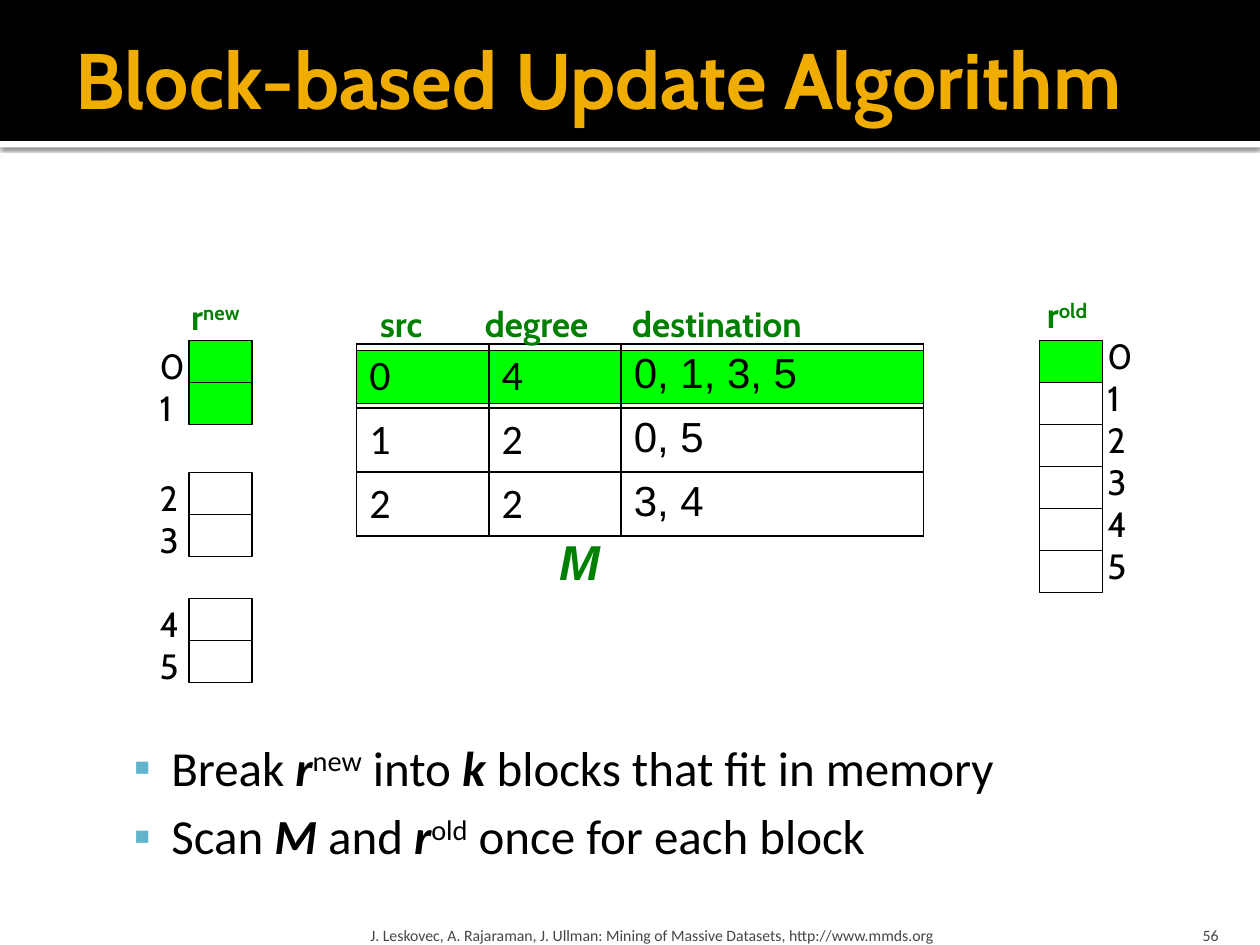
from lxml.etree import SubElement
from pptx import Presentation
from pptx.dml.color import RGBColor as RGB
from pptx.enum.shapes import MSO_SHAPE as SHAPE
from pptx.enum.text import MSO_ANCHOR as ANCHOR, MSO_AUTO_SIZE as AUTO, PP_ALIGN as ALIGN
from pptx.oxml import parse_xml
from pptx.oxml.ns import nsdecls, qn
from pptx.util import Pt

COLORS = {"black": "000000", "white": "FFFFFF", "gold": "F0AD00", "bullet": "60B5CC",
          "highlight": "00FF00", "green": "008000", "grey": "454545"}


def add_rect(x, y, w, h, fill=None, line=None):
    sp = s.shapes.add_shape(SHAPE.RECTANGLE, Pt(x), Pt(y), Pt(w), Pt(h))
    sp.shadow.inherit = False
    if fill:
        sp.fill.solid()
        sp.fill.fore_color.rgb = RGB.from_string(COLORS[fill])
    else:
        sp.fill.background()
    if line:
        sp.line.color.rgb = RGB.from_string(COLORS[line])
        sp.line.width = Pt(0.75)
    else:
        sp.line.fill.background()
    return sp


def write(p, parts, size, font, color, bold=False):
    """Fill p with (text, style) parts; style is "", "bi" (bold italic) or "sup"."""
    for text, style in parts:
        r = p.add_run()
        r.text = text
        r.font.size = Pt(size)
        r.font.name = font
        r.font.color.rgb = RGB.from_string(COLORS[color])
        r.font.bold = bold or style == "bi"
        r.font.italic = style == "bi"
        if style == "sup":
            r.font._element.set("baseline", "30000")


prs = Presentation()
prs.slide_width, prs.slide_height = Pt(720), Pt(540)
s = prs.slides.add_slide(prs.slide_layouts[1])
title, body = s.shapes.title, s.placeholders[1]

# Title band with a shadowed white strip under it
strip = add_rect(0, 80.6, 720, 3.6, "white")
shadow = SubElement(strip._element.spPr.find(qn("a:effectLst")), qn("a:outerShdw"),
                    blurRad=str(Pt(2.5)), dist=str(Pt(0.8)), dir="5400000",
                    algn="t", rotWithShape="0")
shadow_color = SubElement(shadow, qn("a:srgbClr"), val=COLORS["black"])
SubElement(shadow_color, qn("a:alpha"), val="60000")
band = add_rect(0, 0, 720, 80.6, "black")
for sp in (strip, band):
    title._element.addprevious(sp._element)

title.left, title.top, title.width, title.height = Pt(36), Pt(5.8), Pt(648), Pt(77.8)
tf = title.text_frame
tf.auto_size = AUTO.NONE
tf.vertical_anchor = ANCHOR.MIDDLE
tf.margin_left, tf.margin_right = Pt(7.2), Pt(3.6)
tf.paragraphs[0].alignment = ALIGN.LEFT
write(tf.paragraphs[0], [("Block-based Update Algorithm", "")], 45, "Cabin", "gold", True)

# Bullets
body.left, body.top, body.width, body.height = Pt(36), Pt(414), Pt(648), Pt(102.2)
tf = body.text_frame
tf.auto_size = AUTO.NONE
tf.vertical_anchor = ANCHOR.TOP
tf.margin_left, tf.margin_top = Pt(4.3), Pt(7.2)
bullets = [
    [("Break ", ""), ("r", "bi"), ("new", "sup"), (" into ", ""), ("k", "bi"),
     (" blocks that fit in memory", "")],
    [("Scan ", ""), ("M", "bi"), (" and ", ""), ("r", "bi"), ("old", "sup"),
     (" once for each block", "")],
]
for i, parts in enumerate(bullets):
    p = tf.add_paragraph() if i else tf.paragraphs[0]
    p.level = 1
    p.space_before = Pt(5.6 if i else 0)
    pPr = p._p.get_or_add_pPr()
    pPr.set("marL", str(Pt(57.6)))
    pPr.set("indent", str(Pt(-21.6)))
    bullet_color = SubElement(pPr, qn("a:buClr"))
    SubElement(bullet_color, qn("a:srgbClr"), val=COLORS["bullet"])
    SubElement(pPr, qn("a:buFont"), typeface="Arial")
    SubElement(pPr, qn("a:buChar"), char="▪")
    write(p, parts, 28, "Calibri", "black")

# Footer and slide number
footer = "J. Leskovec, A. Rajaraman, J. Ullman: Mining of Massive Datasets, http://www.mmds.org"
for x, w, margin, align, text in [(208.1, 433.4, 3.6, ALIGN.LEFT, footer),
                                  (645.8, 57.6, 7.2, ALIGN.RIGHT, "56")]:
    tf = s.shapes.add_textbox(Pt(x), Pt(518.4), Pt(w), Pt(21.6)).text_frame
    tf.word_wrap = True
    tf.vertical_anchor = ANCHOR.BOTTOM
    tf.margin_left = tf.margin_right = Pt(margin)
    tf.margin_bottom = 0
    tf.paragraphs[0].alignment = align
    write(tf.paragraphs[0], [(text, "")], 9, "Calibri", "grey")

# Vector cells; the labels are collected as (x, y, w, h, parts, size, font, color, bold)
CELL_W, CELL_H, TOP = 36, 24, 194.4
add_rect(203.8, 200.2, 324, 30.2, "highlight", "black")
labels = []
for i in range(6):
    y_new = (TOP, 270, 342)[i // 2] + i % 2 * CELL_H
    y_old = TOP + i * CELL_H
    add_rect(108, y_new, CELL_W, CELL_H, "highlight" if i < 2 else None, "black")
    add_rect(594, y_old, CELL_W, CELL_H, "highlight" if i == 0 else None, "black")
    for x, y in ((84.2, y_new - 1), (625.7, y_old - 6.6)):
        labels.append((x, y, 25.9, 31, [(str(i), "")], 20, "Cabin", "black", False))

# Sparse matrix M
rows = [("0", "4", "0, 1, 3, 5"), ("1", "2", "0, 5"), ("2", "2", "3, 4")]
table = s.shapes.add_table(3, 3, Pt(203.8), Pt(196.6), Pt(324), Pt(109.8)).table
table.first_row = table.horz_banding = False
for col, w in zip(table.columns, (75.6, 75.6, 172.8)):
    col.width = Pt(w)
for i, row in enumerate(rows):
    table.rows[i].height = Pt(36.6)
    for j, text in enumerate(row):
        cell = table.cell(i, j)
        cell.fill.background()
        write(cell.text_frame.paragraphs[0], [(text, "")], 24,
              "Arial" if j == 2 else "Calibri", "black")
        for k, side in enumerate("LRTB"):
            cell._tc.get_or_add_tcPr().insert(k, parse_xml(
                f'<a:ln{side} {nsdecls("a")} w="{Pt(1)}"><a:solidFill>'
                f'<a:srgbClr val="{COLORS["black"]}"/></a:solidFill></a:ln{side}>'))

# Headings and labels
for x, y, w, parts in [
    (210.2, 169.2, 38.9, [("src", "")]),
    (270, 169.2, 74.9, [("degree", "")]),
    (354.2, 169.2, 114.5, [("destination", "")]),
    (102.2, 165.6, 46.1, [("r", ""), ("new", "sup")]),
    (591.1, 164.2, 39.6, [("r", ""), ("old", "sup")]),
]:
    labels.append((x, y, w, 31.7, parts, 20, "Cabin", "green", True))
labels.append((312.5, 300.2, 38.2, 41, [("M", "bi")], 28, "Arial", "green", True))
for x, y, w, h, parts, size, font, color, bold in labels:
    tf = s.shapes.add_textbox(Pt(x), Pt(y), Pt(w), Pt(h)).text_frame
    tf.word_wrap = False
    tf.auto_size = AUTO.SHAPE_TO_FIT_TEXT
    write(tf.paragraphs[0], parts, size, font, color, bold)

prs.save("out.pptx")
